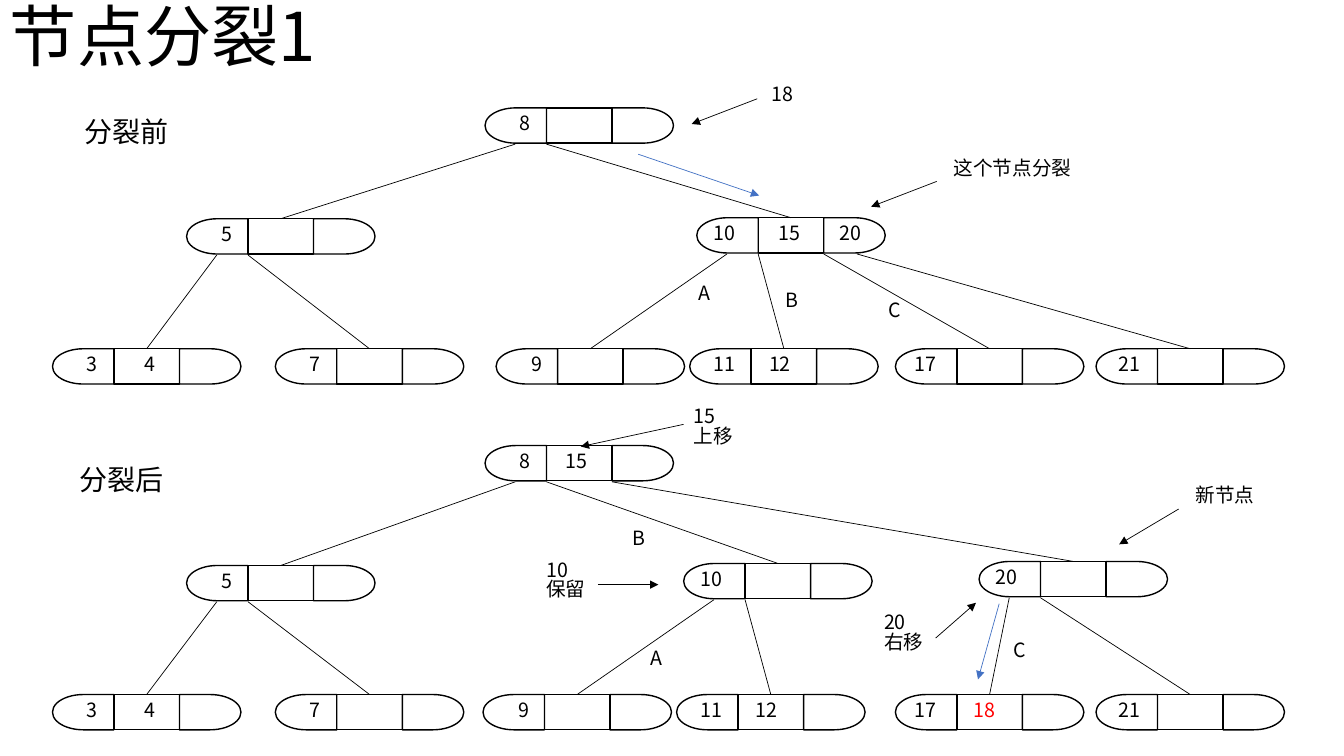
from pptx import Presentation
from pptx.dml.color import RGBColor
from pptx.enum.shapes import MSO_CONNECTOR, MSO_SHAPE
from pptx.enum.text import MSO_ANCHOR, MSO_AUTO_SIZE, PP_ALIGN
from pptx.oxml.ns import qn
from pptx.util import Inches, Pt
from lxml import etree

DELAY, RECTANGLE = MSO_SHAPE.FLOWCHART_DELAY, MSO_SHAPE.RECTANGLE
STRAIGHT = MSO_CONNECTOR.STRAIGHT
TOP, LEFT = MSO_ANCHOR.TOP, PP_ALIGN.LEFT
GROW = MSO_AUTO_SIZE.SHAPE_TO_FIT_TEXT

THEME = {
    "font": "Noto Sans CJK SC",
    "ink": RGBColor(0x00, 0x00, 0x00),
    "path_arrow": RGBColor(0x44, 0x72, 0xC4),
    "new_key": RGBColor(0xFF, 0x00, 0x00),
    "title": Pt(48), "heading": Pt(20), "body": Pt(14),
    "outline": Pt(1), "thin": Pt(0.5), "line_spacing": 0.84,
}

presentation = Presentation()
presentation.slide_width, presentation.slide_height = Inches(13.33), Inches(7.5)
slide = presentation.slides.add_slide(presentation.slide_layouts[6])

# The grid has 133.3 columns and 75 rows; all places below are columns and rows.
UNIT = presentation.slide_height / 75
CAP, CELL, NODE_HEIGHT = 6.1, 6.5, 3.5
NODE_WIDTH = 2 * CAP + CELL
LINK_STARTS = [3.0, CAP, CAP + CELL, 15.9]


def add_text(text, column, row, width, height=3.4, size="body", color="ink"):
    """Add a left-aligned text box, one paragraph per line of text."""
    box = slide.shapes.add_textbox(
        *(round(value * UNIT) for value in (column, row, width, height)))
    frame = box.text_frame
    frame.text = text
    for name, value in {"word_wrap": True, "auto_size": GROW,
                        "vertical_anchor": TOP}.items():
        setattr(frame, name, value)
    for paragraph in frame.paragraphs:
        paragraph.alignment = LEFT
        paragraph.line_spacing = THEME["line_spacing"]
        font = paragraph.runs[0].font
        for name, value in {"name": THEME["font"], "size": THEME[size]}.items():
            setattr(font, name, value)
        font.color.rgb = THEME[color]
        properties = paragraph.runs[0]._r.get_or_add_rPr()
        etree.SubElement(properties, qn("a:ea"), typeface=THEME["font"])


def add_line(start, end, color="ink", arrow=False):
    """Add a thin straight line, with an arrowhead at its end if wanted."""
    connector = slide.shapes.add_connector(
        STRAIGHT, *(round(value * UNIT) for value in (*start, *end)))
    connector.line.color.rgb = THEME[color]
    connector.line.width = THEME["thin"]
    if arrow:
        etree.SubElement(connector.line._get_or_add_ln(), qn("a:tailEnd"), type="triangle")
    etree.SubElement(connector._element.spPr, qn("a:effectLst"))


add_text("节点分裂1", 0, 0.2, 133.3, 9.1, "title")

# Rows of root, left branch, split branch and leaves, then the split branch's shift
stages = {
    "before": (10.7, 21.7, 21.6, 34.6, 0),
    "after": (44.2, 56.1, 55.9, 68.9, -1.3),
}
for stage, (root, branch, split, leaf, shift) in stages.items():
    # Each node: column, row, and its keys with their offsets in columns
    nodes = {
        "root": (48.1, root, {"8": 2.4}),
        "left": (18.5, branch, {"5": 2.5}),
        "split": (69.1 + shift, split, {"10": 0.7}),
        "leaf 3": (5.2, leaf, {"3": 2.4, "4": 8.1}),
        "leaf 7": (27.3, leaf, {"7": 2.4}),
        "leaf 9": (49.2 + shift, leaf, {"9": 2.5}),
        "leaf 11": (68.4 + shift, leaf, {"11": 1.4, "12": 6.9}),
        "leaf 17": (88.8, leaf, {"17": 0.9}),
        "leaf 21": (108.7, leaf, {"21": 1.3}),
    }
    # Each link: parent, slot of the parent, child
    links = [("root", 0, "left"), ("root", 1, "split"),
             ("left", 0, "leaf 3"), ("left", 1, "leaf 7"),
             ("split", 0, "leaf 9"), ("split", 1, "leaf 11")]
    if stage == "before":
        nodes["split"][2].update({"15": 7.1, "20": 13.2})
        links += [("split", 2, "leaf 17"), ("split", 3, "leaf 21")]
    else:
        nodes["new"] = (97.1, 55.7, {"20": 0.7})
        nodes["root"][2]["15"] = 7.0
        nodes["leaf 17"][2]["18"] = 6.8
        links += [("root", 2, "new"), ("new", 0, "leaf 17"), ("new", 1, "leaf 21")]

    for column, row, keys in nodes.values():
        parts = [(DELAY, CAP + CELL, CAP, 0), (DELAY, 0, CAP, 180), (RECTANGLE, CAP, CELL, 0)]
        for kind, offset, width, rotation in parts:
            shape = slide.shapes.add_shape(kind, *(
                round(value * UNIT) for value in (column + offset, row, width, NODE_HEIGHT)))
            shape.rotation = rotation
            shape.shadow.inherit = False
            shape.fill.background()
            shape.line.color.rgb = THEME["ink"]
            shape.line.width = THEME["outline"]
        for key, offset in keys.items():
            add_text(key, column + offset, row + 0.2, 2.2 if len(key) == 1 else 4.7,
                     color="new_key" if key == "18" else "ink")

    for parent, slot, child in links:
        parent_column, parent_row, _ = nodes[parent]
        child_column, child_row, _ = nodes[child]
        add_line((parent_column + LINK_STARTS[slot], parent_row + NODE_HEIGHT + 0.1),
                 (child_column + NODE_WIDTH / 2, child_row))

headings = [("分裂前", 7.4, 11.4), ("分裂后", 6.9, 45.9)]
for text, column, row in headings:
    add_text(text, column, row, 12.8, 4.4, "heading")

notes = [
    ("18", 75.5, 8.0, 5.0), ("这个节点分裂", 93.6, 15.4, 14.6),
    ("新节点", 117.6, 47.8, 8.2),
    ("10\n保留", 53.2, 55.2, 6.0), ("20\n右移", 86.7, 60.4, 6.0),
    ("15\n上移", 67.8, 40.0, 6.0),
    ("A", 68.3, 27.8, 3.4), ("B", 76.9, 28.4, 3.4), ("C", 87.1, 29.4, 3.4),
    ("A", 63.5, 64.0, 3.4), ("B", 61.8, 52.1, 3.4), ("C", 99.5, 63.2, 3.4),
]
for text, column, row, width in notes:
    add_text(text, column, row, width, 5.7 if "\n" in text else 3.4)

arrows = [
    ((75.1, 9.8), (68.6, 12.3), "ink"), ((92.9, 18.0), (86.4, 20.5), "ink"),
    ((116.9, 50.5), (111.0, 54.0), "ink"), ((59.3, 58.0), (65.3, 58.0), "ink"),
    ((92.8, 63.3), (96.8, 59.8), "ink"), ((67.8, 42.1), (57.6, 44.3), "ink"),
    ((63.3, 15.3), (75.3, 19.4), "path_arrow"), ((99.1, 59.9), (97.0, 67.4), "path_arrow"),
]
for start, end, color in arrows:
    add_line(start, end, color, arrow=True)

presentation.save("out.pptx")
